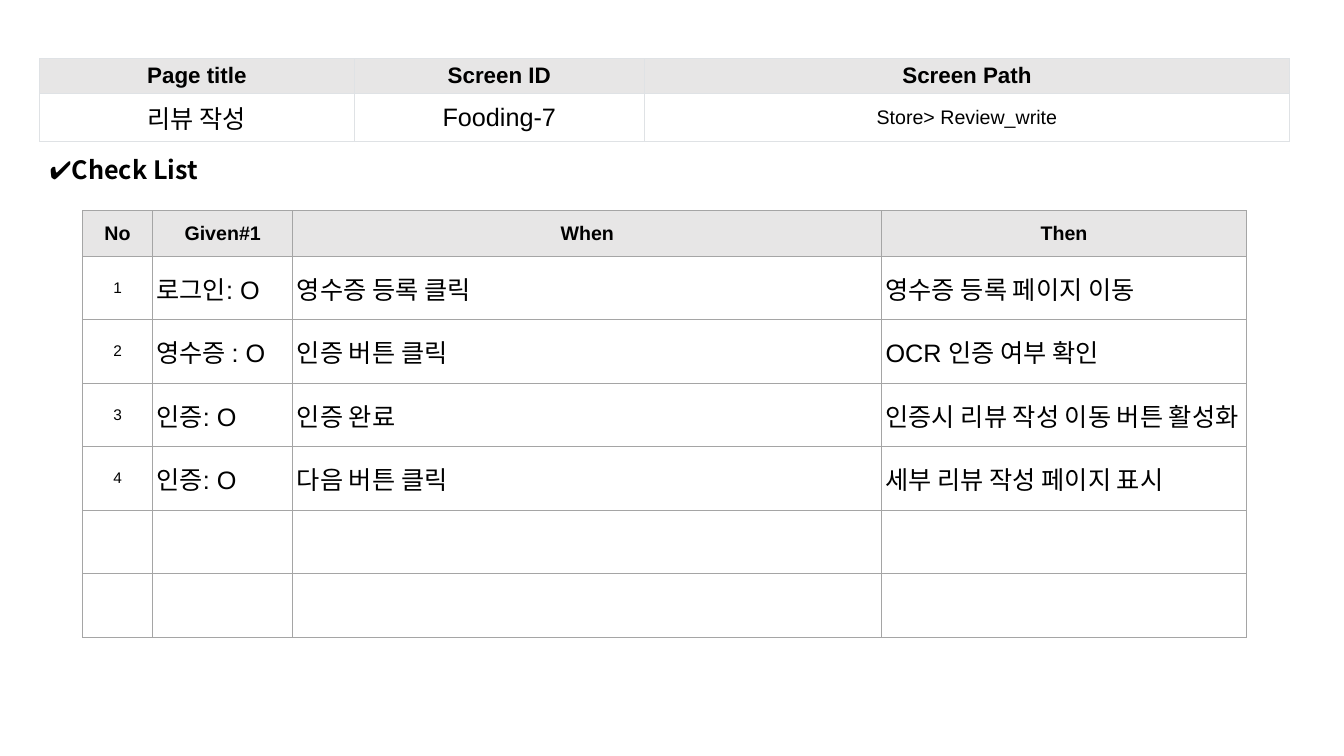
from lxml.etree import SubElement as Sub
from pptx import Presentation as Deck
from pptx.dml.color import RGBColor as Rgb
from pptx.enum.text import MSO_ANCHOR as Anchor, PP_ALIGN as Align
from pptx.oxml.ns import qn
from pptx.util import Inches, Pt

WIDE, HIGH = Inches(13.33), Inches(7.5)
HUES = {"ink": "000000", "head": "E7E6E6", "body": "FFFFFF",
        "grid": "A5A5A5", "pale": "DFE2E5"}
LATIN, HANGUL = "Arial", "Noto Sans CJK KR"
BOLD = {"bold": True, "name": LATIN}
PLAIN = {"bold": False, "name": LATIN}

INFO = [["Page title", "Screen ID", "Screen Path"],
        ["리뷰 작성", "Fooding-7", "Store> Review_write"]]
CHECKS = [["No", "Given#1", "When", "Then"],
          ["1", "로그인: O", "영수증 등록 클릭", "영수증 등록 페이지 이동"],
          ["2", "영수증 : O", "인증 버튼 클릭", "OCR 인증 여부 확인"],
          ["3", "인증: O", "인증 완료", "인증시 리뷰 작성 이동 버튼 활성화"],
          ["4", "인증: O", "다음 버튼 클릭", "세부 리뷰 작성 페이지 표시"],
          [""] * 4, [""] * 4]


def across(cols):
    """Turn columns of a 100-column slide grid into a length."""
    return round(WIDE * cols / 100)


def down(rows):
    """Turn rows of a 100-row slide grid into a length."""
    return round(HIGH * rows / 100)


def apply(item, looks):
    """Set every attribute named in a dict of format values."""
    for key, value in looks.items():
        setattr(item, key, value)


def write(para, text, size, looks):
    """Add one run with its size, Latin font and Hangul font."""
    run = para.add_run()
    run.text = text
    apply(run.font, {"size": Pt(size), **looks})
    run.font.color.rgb = Rgb.from_string(HUES["ink"])
    Sub(run.font._element, qn("a:ea"), typeface=HANGUL)


def edge(cell, hue):
    """Draw a thin line on all four sides of a cell."""
    props = cell._tc.get_or_add_tcPr()
    for spot, side in enumerate("LRTB"):
        line = Sub(props, qn(f"a:ln{side}"), w=str(Pt(0.75)))
        paint = Sub(line, qn("a:solidFill"))
        Sub(paint, qn("a:srgbClr"), val=HUES[hue])
        props.insert(spot, line)


def table(slide, left, top, cols, rows, data, hue, pads, style):
    """Place a table at a grid point; style gives size, looks and align."""
    grid = slide.shapes.add_table(
        len(rows), len(cols), across(left), down(top),
        across(sum(cols)), down(sum(rows))).table
    apply(grid, {"first_row": False, "horz_banding": False})
    for col, size in zip(grid.columns, cols):
        col.width = across(size)
    for row, size in zip(grid.rows, rows):
        row.height = down(size)
    for r, line in enumerate(data):
        side, rise = across(pads[0]), down(pads[1] if r == 0 else pads[2])
        for c, text in enumerate(line):
            cell = grid.cell(r, c)
            apply(cell, {"margin_left": side, "margin_right": side,
                         "margin_top": rise, "margin_bottom": rise,
                         "vertical_anchor": Anchor.MIDDLE})
            cell.fill.solid()
            cell.fill.fore_color.rgb = Rgb.from_string(
                HUES["body" if r else "head"])
            edge(cell, hue)
            if text:
                size, looks, align = style(r, c)
                para = cell.text_frame.paragraphs[0]
                para.alignment = align
                write(para, text, size, looks)


def info(slide, left, top):
    """Place the table that names the screen."""
    def style(r, c):
        """Centre all cells; the screen route is smaller."""
        if r == 0:
            return 16, BOLD, Align.CENTER
        return 14 if c == 2 else 18, PLAIN, Align.CENTER

    table(slide, left, top, [23.4, 21.6, 48], [4.67, 6.27],
          INFO, "pale", (0.8, 0.67, 0.67), style)


def title(slide, left, top, wide, high):
    """Place the heading of the check list."""
    frame = slide.shapes.add_textbox(
        across(left), down(top), across(wide), down(high)).text_frame
    frame.word_wrap = True
    write(frame.paragraphs[0], "✔Check List", 18,
          {"bold": True, "name": HANGUL})


def checks(slide, left, top):
    """Place the table of test steps."""
    def style(r, c):
        """Centre the header and numbers; set steps to the left."""
        if r == 0:
            return 14, BOLD, Align.CENTER
        if c == 0:
            return 11, PLAIN, Align.CENTER
        return 18, PLAIN, Align.LEFT

    table(slide, left, top, [5.2, 10.45, 43.8, 27.15], [6.05] + [8.4] * 6,
          CHECKS, "grid", (0.3, 0.27, 0.13), style)


def main():
    """Build the slide and save it."""
    deck = Deck()
    apply(deck, {"slide_width": WIDE, "slide_height": HIGH})
    slide = deck.slides.add_slide(deck.slide_layouts[6])
    checks(slide, 6.15, 27.85)
    info(slide, 2.95, 7.75)
    title(slide, 2.95, 19.75, 13.9, 5.35)
    deck.save("out.pptx")


main()
